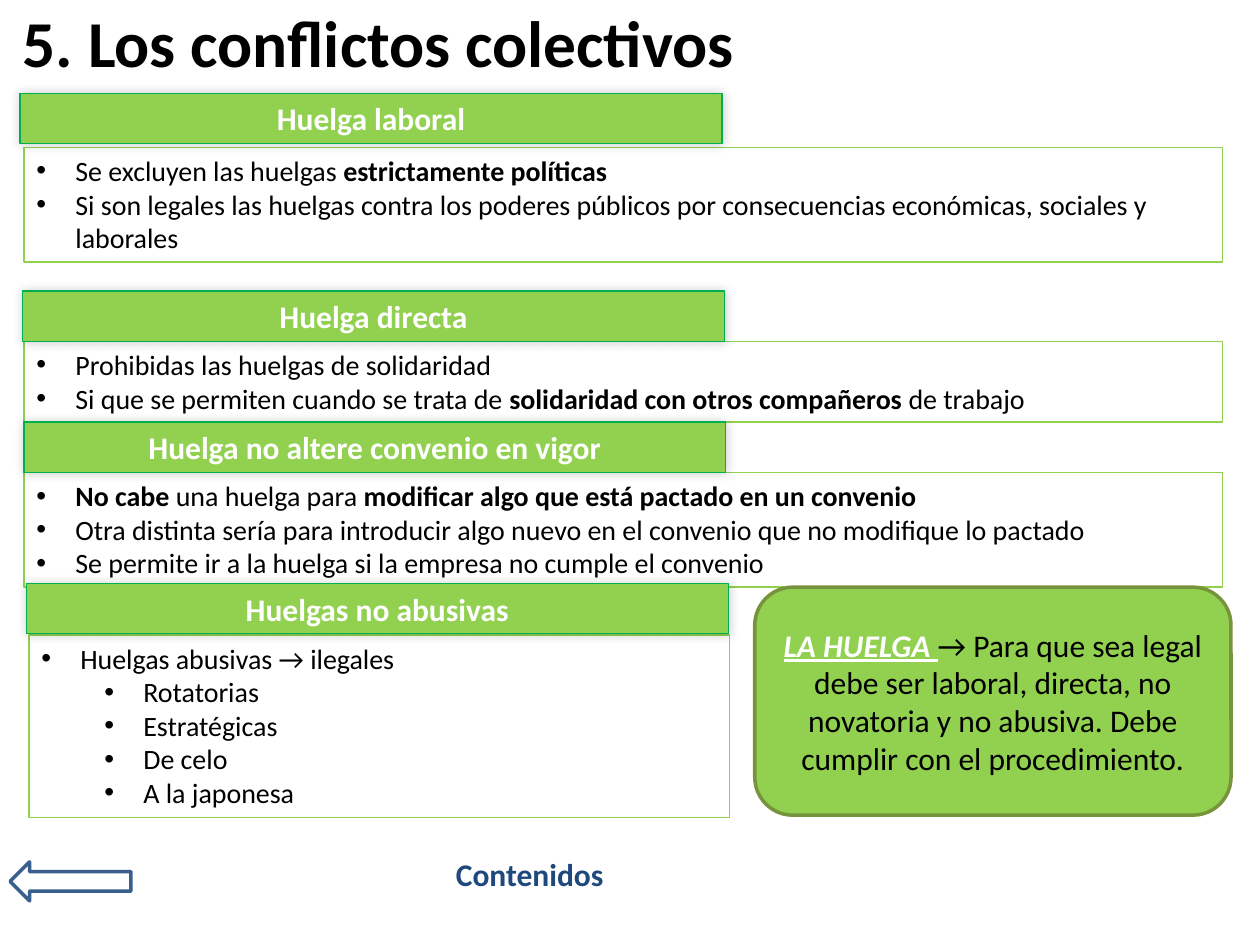
from pptx import Presentation
from pptx.dml.color import RGBColor
from pptx.enum.shapes import MSO_SHAPE as Shape
from pptx.enum.text import MSO_ANCHOR as Anchor, MSO_AUTO_SIZE as AutoSize, PP_ALIGN as Align
from pptx.oxml import parse_xml
from pptx.oxml.ns import nsdecls
from pptx.util import Inches, Pt

FONT = "Calibri"
GREEN, BLACK, WHITE = "92D050", "000000", "FFFFFF"
HEADING_SIZE = (5.57, 0.4)

TITLE = "5. Los conflictos colectivos"
# Heading, its position, box placement, bullets as (level, text); ** marks bold
SECTIONS = [
    ("Huelga laboral", (0.16, 0.74), (0.19, 1.17, 9.51, 0.91), [
        (0, "Se excluyen las huelgas **estrictamente políticas**"),
        (0, "Si son legales las huelgas contra los poderes públicos por "
            "consecuencias económicas, sociales y laborales")]),
    ("Huelga directa", (0.18, 2.31), (0.19, 2.71, 9.51, 0.64), [
        (0, "Prohibidas las huelgas de solidaridad"),
        (0, "Si que se permiten cuando se trata de "
            "**solidaridad con otros compañeros **de trabajo")]),
    ("Huelga no altere convenio en vigor", (0.19, 3.35), (0.19, 3.75, 9.51, 0.91), [
        (0, "**No cabe **una huelga para "
            "**modificar algo que está pactado en un convenio**"),
        (0, "Otra distinta sería para introducir algo nuevo en el convenio "
            "que no modifique lo pactado"),
        (0, "Se permite ir a la huelga si la empresa no cumple el convenio")]),
    ("Huelgas no abusivas", (0.21, 4.63), (0.23, 5.04, 5.56, 1.45), [
        (0, "Huelgas abusivas → ilegales"),
        (1, "Rotatorias"), (1, "Estratégicas"), (1, "De celo"), (1, "A la japonesa")]),
]
SUMMARY = ("LA HUELGA ", "→ Para que sea legal debe ser laboral, directa, no novatoria "
           "y no abusiva. Debe cumplir con el procedimiento.")
CONTENTS = "Contenidos"


def rgb(color):
    return RGBColor.from_string(color)


def set_font(font, size, color, bold=None):
    font.name, font.size, font.bold = FONT, Pt(size), bold
    font.color.rgb = rgb(color)


def add_box(kind, place, fill, line, width, anchor=Anchor.TOP):
    box = slide.shapes.add_shape(kind, *map(Inches, place))
    box.shadow.inherit = False
    if fill:
        box.fill.solid()
        box.fill.fore_color.rgb = rgb(fill)
    else:
        box.fill.background()
    box.line.color.rgb = rgb(line)
    box.line.width = Pt(width)
    box.text_frame.word_wrap = True
    box.text_frame.vertical_anchor = anchor
    return box


def add_glow_shadow(box):
    effects = box._element.spPr.find("{*}effectLst")
    effects.append(parse_xml(
        f'<a:outerShdw {nsdecls("a")} blurRad="{Pt(6)}" dist="0" dir="13500000" '
        'algn="br" rotWithShape="0"><a:srgbClr val="000000">'
        '<a:alpha val="20000"/></a:srgbClr></a:outerShdw>'))


def add_bullet(paragraph, level, text):
    paragraph.level = level
    paragraph.alignment = Align.LEFT
    set_font(paragraph.font, 16, BLACK)
    props = paragraph._p.get_or_add_pPr()
    props.set("marL", str(Inches(0.31 + 0.5 * level)))
    props.set("indent", str(Inches(-0.31)))
    mark = parse_xml(f'<a:buChar {nsdecls("a")} char="•"/>')
    face = parse_xml(f'<a:buFont {nsdecls("a")} typeface="Arial"/>')
    props.insert(0, face)
    props.insert(1, mark)
    for index, part in enumerate(text.split("**")):
        if part:
            run = paragraph.add_run()
            run.text = part
            if index % 2:
                run.font.bold = True


prs = Presentation()
prs.slide_width, prs.slide_height = Inches(10), Inches(7.5)
slide = prs.slides.add_slide(prs.slide_layouts[5])

# Title
title = slide.shapes.title
title.left, title.top, title.width, title.height = map(Inches, (0.08, 0.01, 9.92, 0.63))
title.text_frame.text = TITLE
title.text_frame.auto_size = AutoSize.NONE
title.text_frame.vertical_anchor = Anchor.MIDDLE
title_line = title.text_frame.paragraphs[0]
title_line.alignment = Align.LEFT
set_font(title_line.font, 37.4, BLACK, True)

# Sections: bullet box, then its heading on top
for heading, corner, place, bullets in SECTIONS:
    body = add_box(Shape.RECTANGLE, place, None, GREEN, 0.75).text_frame
    for index, (level, text) in enumerate(bullets):
        add_bullet(body.add_paragraph() if index else body.paragraphs[0], level, text)

    banner = add_box(Shape.RECTANGLE, corner + HEADING_SIZE, GREEN, "00B050", 0.75)
    add_glow_shadow(banner)
    banner.text_frame.text = heading
    banner_line = banner.text_frame.paragraphs[0]
    banner_line.alignment = Align.CENTER
    set_font(banner_line.font, 18, WHITE, True)

# Summary
summary = add_box(Shape.FLOWCHART_ALTERNATE_PROCESS, (5.99, 4.66, 3.78, 1.81),
                  GREEN, "77933C", 2, Anchor.MIDDLE)
summary_line = summary.text_frame.paragraphs[0]
summary_line.alignment = Align.CENTER
lead, rest = (summary_line.add_run() for _ in SUMMARY)
lead.text, rest.text = SUMMARY
set_font(lead.font, 18, WHITE, True)
lead.font.italic = lead.font.underline = True
set_font(rest.font, 18, BLACK)

# Navigation
add_box(Shape.LEFT_ARROW, (0.08, 6.84, 0.96, 0.31), None, "3A5F8C", 2)
contents = slide.shapes.add_textbox(*map(Inches, (3.52, 6.74, 1.44, 0.4))).text_frame
contents.word_wrap = True
contents.text = CONTENTS
set_font(contents.paragraphs[0].font, 18, "1F497D", True)

prs.save("out.pptx")
